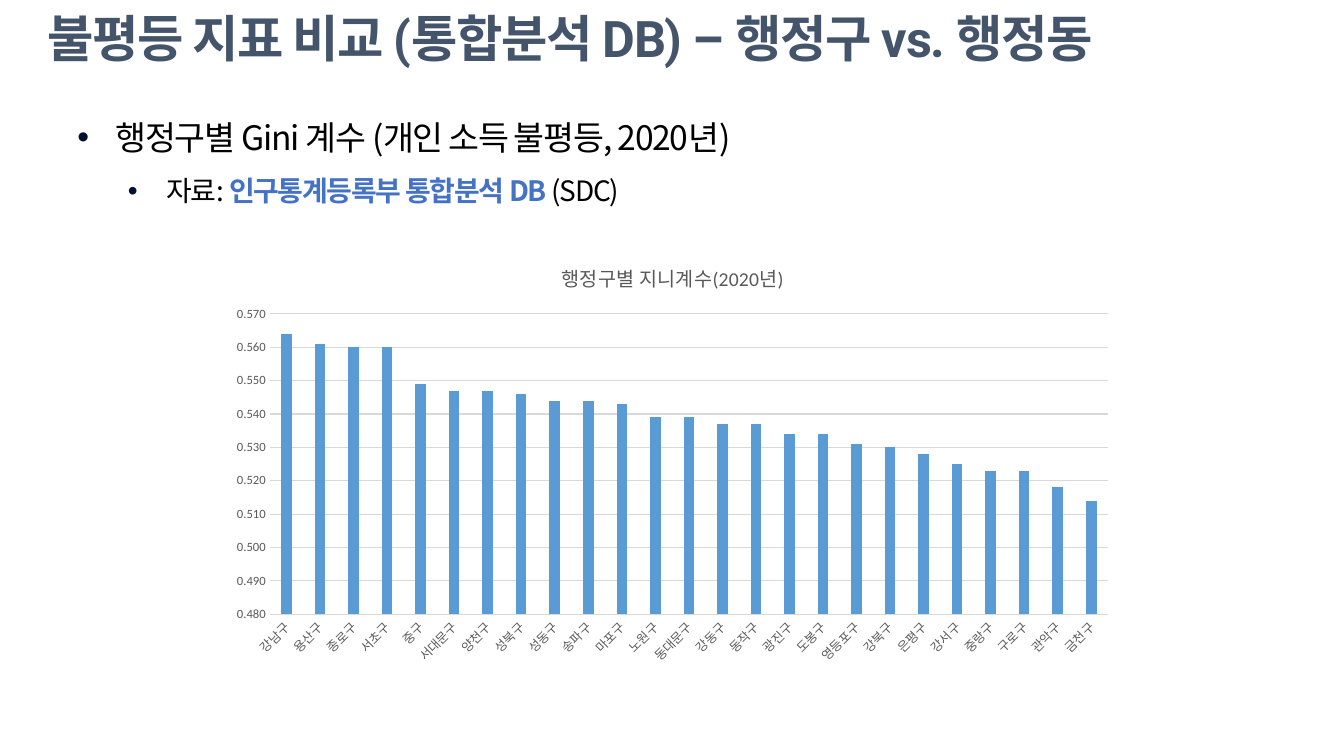
import pptx
import pptx.chart.data
import pptx.dml.color
import pptx.enum.chart
import pptx.enum.text
import pptx.oxml
import pptx.oxml.ns
import pptx.util
from dataclasses import dataclass

Inches = pptx.util.Inches
Points = pptx.util.Pt

TITLE = "불평등 지표 비교 (통합분석 DB) – 행정구 vs. 행정동"
BULLETS = [
    (0, 0.38, 24, [("행정구별 Gini 계수 (개인 소득 불평등, 2020년)", False)]),
    (1, 0.88, 20, [("자료: ", False), ("인구통계등록부 통합분석 DB", True), (" (SDC)", False)]),
]
CHART_TITLE = "행정구별 지니계수(2020년)"
GINI = {
    "강남구": 0.564, "용산구": 0.561, "종로구": 0.560, "서초구": 0.560, "중구": 0.549,
    "서대문구": 0.547, "양천구": 0.547, "성북구": 0.546, "성동구": 0.544, "송파구": 0.544,
    "마포구": 0.543, "노원구": 0.539, "동대문구": 0.539, "강동구": 0.537, "동작구": 0.537,
    "광진구": 0.534, "도봉구": 0.534, "영등포구": 0.531, "강북구": 0.530, "은평구": 0.528,
    "강서구": 0.525, "중랑구": 0.523, "구로구": 0.523, "관악구": 0.518, "금천구": 0.514,
}


@dataclass(frozen=True)
class Theme:
    title: str = "44546A"
    text: str = "000000"
    accent: str = "4472C4"
    bullet: str = "001132"
    bar: str = "5B9BD5"
    label: str = "595959"
    grid: str = "D9D9D9"
    title_font: str = "Roboto"
    body_font: str = "Noto Sans CJK KR"
    chart_font: str = "Calibri"
    title_size: int = 36
    chart_title_size: int = 14
    axis_size: int = 9


THEME = Theme()


def color(value):
    return pptx.dml.color.RGBColor.from_string(value)


def set_font(font, name, size, value, bold=False):
    font.name = name
    font.size = Points(size)
    font.color.rgb = color(value)
    font.bold = bold


def add_text(paragraph, text, *, name, size, value, bold=False, spacing=0):
    run = paragraph.add_run()
    run.text = text
    set_font(run.font, name, size, value, bold)
    properties = run.font._element
    properties.set("spc", str(spacing))
    east_asian = pptx.oxml.parse_xml(
        f'<a:ea {pptx.oxml.ns.nsdecls("a")} typeface="{THEME.body_font}"/>')
    properties.find(pptx.oxml.ns.qn("a:latin")).addnext(east_asian)


def add_frame(slide, left, top, width, height, anchor):
    box = slide.shapes.add_textbox(*map(Inches, (left, top, width, height)))
    frame = box.text_frame
    frame.word_wrap = True
    frame.vertical_anchor = anchor
    return frame


def set_bullet(paragraph, indent):
    properties = paragraph._p.get_or_add_pPr()
    properties.set("marL", str(Inches(indent)))
    properties.set("indent", str(Inches(-0.38)))
    for content in (f'<a:buClr {{}}><a:srgbClr val="{THEME.bullet}"/></a:buClr>',
                    '<a:buFont {} typeface="Arial"/>',
                    '<a:buChar {} char="•"/>'):
        properties.append(pptx.oxml.parse_xml(content.format(pptx.oxml.ns.nsdecls("a"))))


def add_title(slide):
    frame = add_frame(slide, 0.37, 0.07, 12.3, 0.67, pptx.enum.text.MSO_ANCHOR.MIDDLE)
    paragraph = frame.paragraphs[0]
    paragraph.line_spacing = 0.9
    add_text(paragraph, TITLE, name=THEME.title_font, size=THEME.title_size,
             value=THEME.title, bold=True, spacing=-100)


def add_bullets(slide):
    frame = add_frame(slide, 0.67, 0.91, 12, 1.16, pptx.enum.text.MSO_ANCHOR.TOP)
    for index, (level, indent, size, runs) in enumerate(BULLETS):
        paragraph = frame.add_paragraph() if index else frame.paragraphs[0]
        paragraph.level = level
        paragraph.alignment = pptx.enum.text.PP_ALIGN.JUSTIFY
        paragraph.line_spacing = 1.5
        set_bullet(paragraph, indent)
        for text, strong in runs:
            add_text(paragraph, text, name=THEME.body_font, size=size, bold=strong,
                     value=THEME.accent if strong else THEME.text, spacing=-100)


def format_axis(axis):
    axis.major_tick_mark = pptx.enum.chart.XL_TICK_MARK.NONE
    axis.minor_tick_mark = pptx.enum.chart.XL_TICK_MARK.NONE
    set_font(axis.tick_labels.font, THEME.chart_font, THEME.axis_size, THEME.label)


def format_line(line):
    line.color.rgb = color(THEME.grid)
    line.width = Points(0.75)


def add_gini_chart(slide):
    data = pptx.chart.data.CategoryChartData(number_format="0.000")
    data.categories = list(GINI)
    data.add_series("Series 1", list(GINI.values()))
    chart = slide.shapes.add_chart(
        pptx.enum.chart.XL_CHART_TYPE.COLUMN_CLUSTERED,
        *map(Inches, (2.17, 2.42, 9, 4.25)), data).chart
    set_font(chart.font, THEME.chart_font, 10, THEME.text)
    chart.has_legend = False
    chart.has_title = True
    chart.chart_title.include_in_layout = False
    add_text(chart.chart_title.text_frame.paragraphs[0], CHART_TITLE,
             name=THEME.chart_font, size=THEME.chart_title_size, value=THEME.label)

    plot = chart.plots[0]
    plot.gap_width = 219
    plot.overlap = -27
    plot.vary_by_categories = False
    fill = plot.series[0].format.fill
    fill.solid()
    fill.fore_color.rgb = color(THEME.bar)

    districts, scale = chart.category_axis, chart.value_axis
    format_axis(districts)
    format_axis(scale)
    format_line(districts.format.line)
    districts._element.txPr.bodyPr.set("rot", "-2700000")
    scale.minimum_scale, scale.maximum_scale, scale.major_unit = 0.48, 0.57, 0.01
    scale.tick_labels.number_format = "0.000"
    scale.tick_labels.number_format_is_linked = False
    scale.format.line.fill.background()
    scale.has_major_gridlines = True
    format_line(scale.major_gridlines.format.line)


def main():
    presentation = pptx.Presentation()
    presentation.slide_width = Inches(13.33)
    presentation.slide_height = Inches(7.5)
    slide = presentation.slides.add_slide(presentation.slide_layouts[6])
    add_title(slide)
    add_bullets(slide)
    add_gini_chart(slide)
    presentation.save("out.pptx")


if __name__ == "__main__":
    main()
